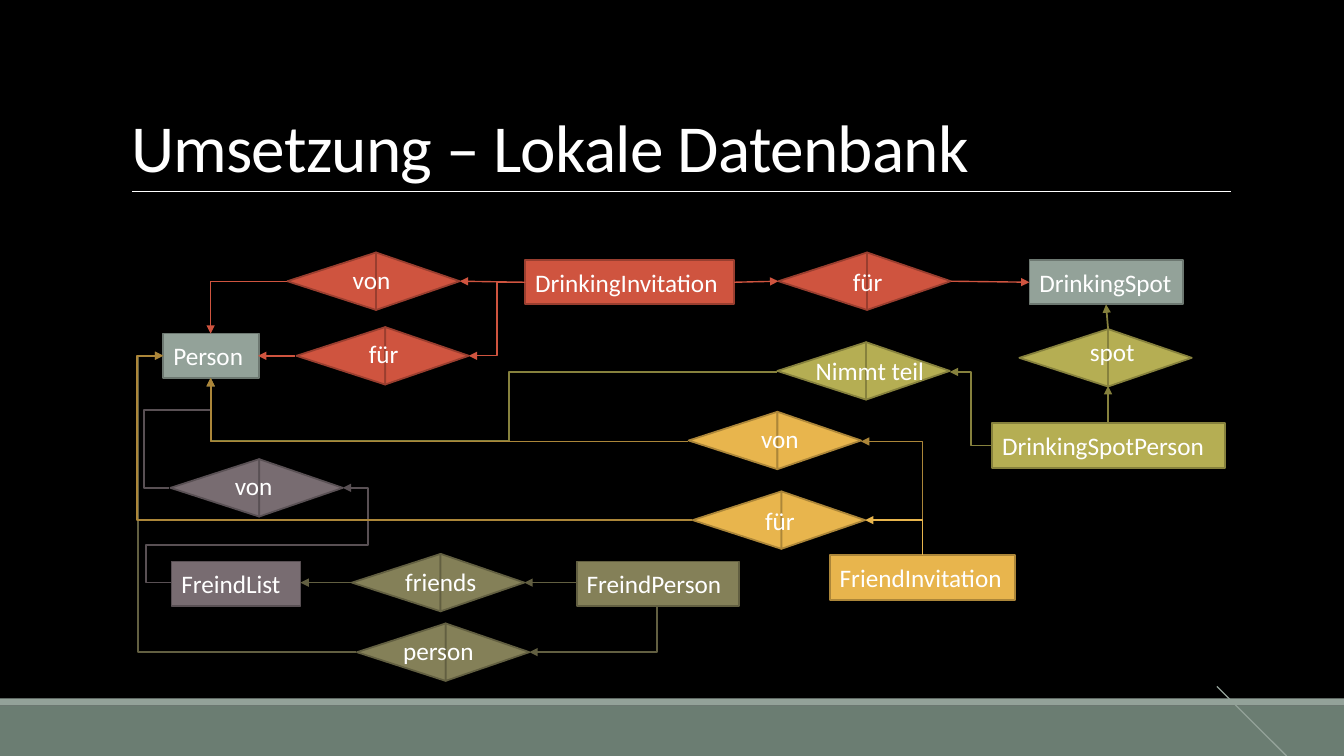
from dataclasses import dataclass

from lxml import etree
from pptx import Presentation
from pptx.dml.color import RGBColor
from pptx.enum.shapes import MSO_CONNECTOR, MSO_SHAPE
from pptx.enum.text import MSO_ANCHOR, MSO_AUTO_SIZE, PP_ALIGN
from pptx.oxml.ns import qn
from pptx.util import Inches, Pt

RECT, WEDGE = MSO_SHAPE.RECTANGLE, MSO_SHAPE.ISOSCELES_TRIANGLE
STRAIGHT, ELBOW = MSO_CONNECTOR.STRAIGHT, MSO_CONNECTOR.ELBOW
LEFT = PP_ALIGN.LEFT
MIDDLE, BOTTOM = MSO_ANCHOR.MIDDLE, MSO_ANCHOR.BOTTOM
FIXED = MSO_AUTO_SIZE.NONE


@dataclass(frozen=True)
class Hue:
    fill: str
    edge: str


@dataclass(frozen=True)
class Theme:
    font: str = "Calibri"
    back: str = "000000"
    text: str = "FFFFFF"
    band: str = "6B7D72"
    sage: Hue = Hue("93A299", "6D7871")
    red: Hue = Hue("CF543F", "993E2F")
    lime: Hue = Hue("B5AE53", "86813D")
    mauve: Hue = Hue("786C71", "595054")
    gold: Hue = Hue("E8B54D", "AC8639")
    olive: Hue = Hue("848058", "625F41")
    head: float = 48
    body: float = 18
    edge: float = 1.25
    thin: float = 1
    hair: float = 0.5


@dataclass(frozen=True)
class Table:
    name: str
    hue: Hue
    left: float
    top: float
    width: float


@dataclass(frozen=True)
class Link:
    name: str
    hue: Hue
    left: float
    mid: float
    text_left: float
    text_top: float
    text_width: float


@dataclass(frozen=True)
class Route:
    color: str
    weight: float
    points: tuple
    arrow: bool = True


T = Theme()
ROW, HALF, LEFT_LEN, RIGHT_LEN, LABEL = 0.44, 0.57, 0.88, 0.83, 0.4

TABLES = (
    Table("Person", T.sage, 1.62, 3.31, 0.95),
    Table("DrinkingSpot", T.sage, 10.21, 2.58, 1.52),
    Table("DrinkingSpotPerson", T.lime, 9.84, 4.2, 2.31),
    Table("FreindList", T.mauve, 1.7, 5.57, 1.28),
    Table("DrinkingInvitation", T.red, 5.21, 2.58, 2.07),
    Table("FriendInvitation", T.gold, 8.23, 5.51, 1.84),
    Table("FreindPerson", T.olive, 5.72, 5.57, 1.61),
)

LINKS = (
    Link("von", T.red, 2.85, 2.79, 3.4, 2.57, 0.58),
    Link("für", T.red, 2.94, 3.53, 3.56, 3.31, 0.5),
    Link("für", T.red, 7.72, 2.79, 8.36, 2.59, 0.5),
    Link("von", T.mauve, 1.69, 4.84, 2.23, 4.62, 0.58),
    Link("von", T.gold, 6.83, 4.37, 7.45, 4.15, 0.58),
    Link("für", T.gold, 6.87, 5.16, 7.49, 4.96, 0.5),
    Link("Nimmt teil", T.lime, 7.71, 3.68, 7.99, 3.48, 1.29),
    Link("spot", T.lime, 10.11, 3.55, 10.71, 3.29, 0.65),
    Link("person", T.olive, 3.54, 6.47, 3.9, 6.25, 0.91),
    Link("friends", T.olive, 3.49, 5.78, 3.92, 5.57, 0.92),
)

ROUTES = (
    Route(T.olive.edge, T.edge, ((3.49, 5.78), (2.98, 5.78))),
    Route(T.olive.edge, T.edge, ((5.72, 5.78), (5.2, 5.78))),
    Route(T.olive.edge, T.edge, ((6.52, 6), (6.52, 6.47), (5.25, 6.47))),
    Route(T.olive.edge, T.edge,
          ((3.53, 6.47), (1.37, 6.47), (1.37, 3.53), (1.62, 3.53))),
    Route(T.mauve.edge, T.edge,
          ((1.68, 4.84), (1.43, 4.84), (1.43, 4.07), (2.09, 4.07), (2.09, 3.75))),
    Route(T.mauve.edge, T.edge,
          ((1.7, 5.78), (1.45, 5.78), (1.45, 5.41), (3.65, 5.41),
           (3.65, 4.84), (3.4, 4.84))),
    Route(T.sage.fill, T.thin, ((12.07, 6.81), (12.76, 7.5)), False),
    Route(T.red.fill, T.thin, ((7.28, 2.8), (7.72, 2.79))),
    Route(T.red.fill, T.thin, ((9.43, 2.79), (10.21, 2.8))),
    Route(T.lime.edge, T.edge,
          ((9.84, 4.42), (9.63, 4.42), (9.63, 3.69), (9.42, 3.69))),
    Route(T.lime.edge, T.edge,
          ((7.71, 3.69), (5.05, 3.69), (5.05, 4.38), (2.09, 4.38), (2.09, 3.75))),
    Route(T.lime.edge, T.edge, ((10.99, 4.2), (10.99, 3.83))),
    Route(T.lime.edge, T.edge, ((10.99, 3.26), (10.97, 3.02))),
    Route(T.gold.edge, T.edge, ((9.15, 5.51), (9.15, 4.38), (8.54, 4.38))),
    Route(T.gold.fill, T.thin, ((9.15, 5.51), (9.15, 5.16), (8.58, 5.16))),
    Route(T.gold.edge, T.edge, ((6.82, 4.38), (2.09, 4.38), (2.09, 3.75))),
    Route(T.gold.edge, T.edge,
          ((6.86, 5.16), (1.36, 5.16), (1.36, 3.53), (1.62, 3.53))),
    Route(T.red.fill, T.thin, ((5.21, 2.8), (4.56, 2.79))),
    Route(T.red.fill, T.thin, ((2.85, 2.79), (2.09, 2.79), (2.09, 3.31))),
    Route(T.red.fill, T.thin, ((2.93, 3.53), (2.56, 3.53))),
    Route(T.red.fill, T.thin,
          ((5.21, 2.8), (4.93, 2.8), (4.93, 3.53), (4.65, 3.53))),
)


def rgb(color: str) -> RGBColor:
    return RGBColor.from_string(color)


def write(shape, text: str, *, size: float = T.body, anchor=MIDDLE,
          wrap: bool = True, lead: float = 1, track: int = 0) -> None:
    frame = shape.text_frame
    frame.auto_size = FIXED
    frame.word_wrap = wrap
    frame.vertical_anchor = anchor
    para = frame.paragraphs[0]
    para.alignment = LEFT
    para.line_spacing = lead
    run = para.add_run()
    run.text = text
    run.font.name = T.font
    run.font.size = Pt(size)
    run.font.color.rgb = rgb(T.text)
    if track:
        run.font._element.set("spc", str(track))


def block(shapes, kind, box: tuple, fill: str, edge: str = ""):
    shape = shapes.add_shape(kind, *map(Inches, box))
    shape.shadow.inherit = False
    shape.fill.solid()
    shape.fill.fore_color.rgb = rgb(fill)
    if edge:
        shape.line.color.rgb = rgb(edge)
        shape.line.width = Pt(T.edge)
    else:
        shape.line.fill.background()
    return shape


def draw_table(shapes, item: Table) -> None:
    box = (item.left, item.top, item.width, ROW)
    write(block(shapes, RECT, box, item.hue.fill, item.hue.edge), item.name)


def draw_link(shapes, item: Link) -> None:
    group = shapes.add_group_shape()
    start = item.left
    for length, turn in ((LEFT_LEN, 270), (RIGHT_LEN, 90)):
        box = (start + (length - HALF) / 2, item.mid - length / 2, HALF, length)
        block(group.shapes, WEDGE, box, item.hue.fill, item.hue.edge).rotation = turn
        start += length
    box = (item.text_left, item.text_top, item.text_width, LABEL)
    write(shapes.add_textbox(*map(Inches, box)), item.name, wrap=False)


def draw_route(shapes, item: Route) -> None:
    points, tip = item.points, "a:tailEnd"
    if points[0][0] == points[1][0]:
        points, tip = points[::-1], "a:headEnd"
    first, last, legs = points[0], points[-1], len(points) - 1
    kind = ELBOW if legs > 1 else STRAIGHT
    wire = shapes.add_connector(kind, *map(Inches, first + last))
    wire.line.color.rgb = rgb(item.color)
    wire.line.width = Pt(item.weight)
    props = wire._element.spPr
    if legs > 1:
        form = props.find(qn("a:prstGeom"))
        form.set("prst", f"bentConnector{legs}")
        guides = form.find(qn("a:avLst"))
        for step in range(1, legs - 1):
            axis = (step + 1) % 2
            part = (points[step][axis] - first[axis]) / (last[axis] - first[axis])
            etree.SubElement(guides, qn("a:gd"), name=f"adj{step}",
                             fmla=f"val {round(part * 100000)}")
    if item.arrow:
        etree.SubElement(wire.line._get_or_add_ln(), qn(tip), type="triangle")
    etree.SubElement(props, qn("a:effectLst"))


def main() -> None:
    deck = Presentation()
    deck.slide_width, deck.slide_height = Inches(13.33), Inches(7.5)
    slide = deck.slides.add_slide(deck.slide_layouts[5])
    slide.background.fill.solid()
    slide.background.fill.fore_color.rgb = rgb(T.back)
    shapes = slide.shapes
    title = shapes.title
    title.left, title.top, title.width, title.height = map(
        Inches, (1.2, 0.31, 11, 1.59))
    write(title, "Umsetzung – Lokale Datenbank", size=T.head, anchor=BOTTOM,
          lead=0.85, track=-50)
    block(shapes, RECT, (0, 7, 13.33, 0.5), T.band)
    block(shapes, RECT, (0, 6.93, 13.33, 0.07), T.sage.fill)
    draw_route(shapes, Route(T.text, T.hair, ((1.31, 1.9), (12.21, 1.9)), False))
    for item in TABLES:
        draw_table(shapes, item)
    for item in LINKS:
        draw_link(shapes, item)
    for item in ROUTES:
        draw_route(shapes, item)
    deck.save("out.pptx")


main()
